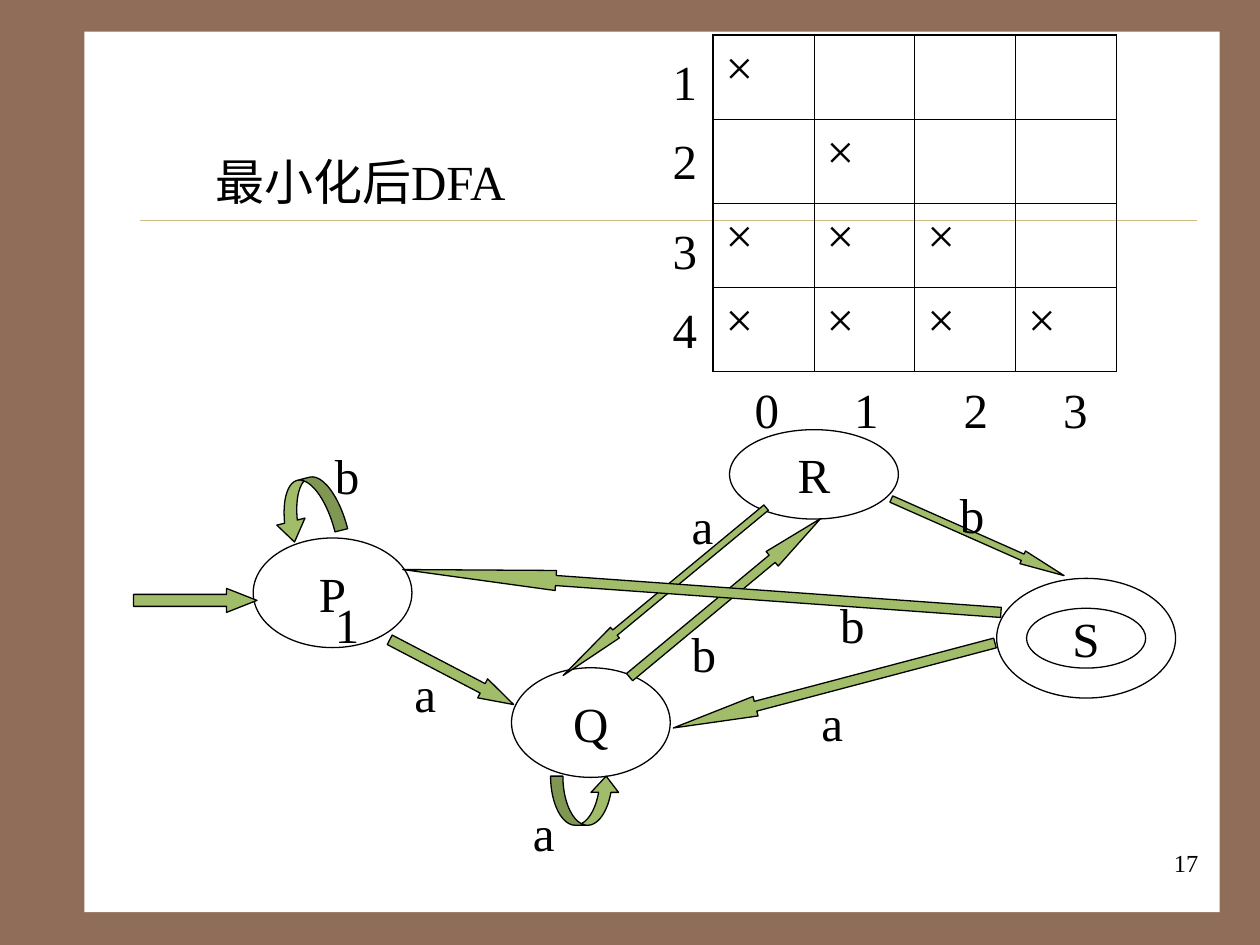
import pptx
import pptx.dml.color
import pptx.enum.shapes
import pptx.enum.text
import pptx.oxml
import pptx.util
from lxml import etree
from pptx.util import Inches

SHAPE = pptx.enum.shapes.MSO_SHAPE
ALIGN = pptx.enum.text.PP_ALIGN
ANCHOR = pptx.enum.text.MSO_ANCHOR
AUTO_SIZE = pptx.enum.text.MSO_AUTO_SIZE
FONT = "Times New Roman"
BLACK = "000000"
GREEN = "A1BD69"
A = "http://schemas.openxmlformats.org/drawingml/2006/main"


def colour(value):
    return pptx.dml.color.RGBColor.from_string(value)


def box(at):
    return [Inches(length) for length in at]


def write(frame, text, size=28, align=ALIGN.LEFT):
    paragraph = frame.paragraphs[0]
    paragraph.text = text
    paragraph.alignment = align
    paragraph.font.name = FONT
    paragraph.font.size = pptx.util.Pt(size)
    paragraph.font.color.rgb = colour(BLACK)


def add_label(slide, text, at, size=28, align=ALIGN.LEFT):
    frame = slide.shapes.add_textbox(*box(at)).text_frame
    frame.word_wrap = True
    write(frame, text, size, align)


def add_outlined(slide, kind, at, fill=None, adjustments=(), rotation=0):
    shape = slide.shapes.add_shape(kind, *box(at))
    shape.shadow.inherit = False
    if fill:
        shape.fill.solid()
        shape.fill.fore_color.rgb = colour(fill)
    else:
        shape.fill.background()
    shape.line.color.rgb = colour(BLACK)
    shape.line.width = pptx.util.Pt(0.75)
    for index, value in enumerate(adjustments):
        shape.adjustments[index] = value
    shape.rotation = rotation
    return shape


def add_state(slide, name, kind, at):
    frame = add_outlined(slide, kind, at).text_frame
    frame.word_wrap = False
    frame.vertical_anchor = ANCHOR.MIDDLE
    write(frame, name, align=ALIGN.CENTER)


def add_background(slide):
    slide.background.fill.solid()
    slide.background.fill.fore_color.rgb = colour("906D58")
    panel = slide.shapes.add_shape(SHAPE.RECTANGLE, *box((0.67, 0.25, 9.01, 6.99)))
    panel.shadow.inherit = False
    panel.fill.solid()
    panel.fill.fore_color.rgb = colour("FFFFFF")
    panel.line.fill.background()
    rule = slide.shapes.add_connector(
        pptx.enum.shapes.MSO_CONNECTOR.STRAIGHT, *box((1.11, 1.75, 9.5, 1.75)))
    rule.line.color.rgb = colour("CBBD83")
    rule.line.width = pptx.util.Pt(0.25)
    etree.SubElement(rule.element.spPr, f"{{{A}}}effectLst")
    return rule


def add_title(slide, text, at, below):
    title = slide.shapes.title
    title.left, title.top, title.width, title.height = box(at)
    title.text_frame.word_wrap = True
    title.text_frame.auto_size = AUTO_SIZE.NONE
    title.text_frame.vertical_anchor = ANCHOR.TOP
    write(title.text_frame, text)
    below.element.addnext(title.element)


def set_borders(cell, widths):
    properties = cell._tc.get_or_add_tcPr()
    for index, (side, width) in enumerate(zip("LRTB", widths)):
        properties.insert(index, pptx.oxml.parse_xml(
            f'<a:ln{side} xmlns:a="{A}" w="{pptx.util.Pt(width)}"><a:solidFill>'
            f'<a:srgbClr val="{BLACK}"/></a:solidFill></a:ln{side}>'))


def add_distinction_table(slide, marks, at):
    size = len(marks)
    table = slide.shapes.add_table(size, size, *box(at)).table
    table.first_row = table.horz_banding = False
    for row, marked_columns in enumerate(marks):
        for column in range(size):
            cell = table.cell(row, column)
            cell.fill.background()
            if column in marked_columns:
                write(cell.text_frame, "×")
            edges = (column == 0, column == size - 1, row == 0, row == size - 1)
            set_borders(cell, [1.08 if outer else 0.45 for outer in edges])


def main():
    presentation = pptx.Presentation()
    presentation.slide_width, presentation.slide_height = Inches(10), Inches(7.5)
    slide = presentation.slides.add_slide(presentation.slide_layouts[5])

    rule = add_background(slide)
    add_title(slide, "最小化后DFA", (1.61, 1.15, 2.99, 0.57), rule)

    states = [
        ("S", SHAPE.DONUT, (7.91, 4.59, 1.42, 0.95)),
        ("P", SHAPE.OVAL, (2.01, 4.27, 1.26, 0.87)),
        ("R", SHAPE.OVAL, (5.79, 3.41, 1.34, 0.71)),
        ("Q", SHAPE.OVAL, (4.06, 5.3, 1.26, 0.87)),
    ]
    for state in states:
        add_state(slide, *state)

    loops = [
        ((2.16, 3.8, 0.55, 0.47), (0.22, 0.49, 0.35), 165.9),
        ((4.37, 6.16, 0.55, 0.39), (0.25, 0.56, 0.33), 0),
    ]
    for at, adjustments, rotation in loops:
        add_outlined(slide, SHAPE.CURVED_UP_ARROW, at, GREEN, adjustments, rotation)

    transitions = [
        ((1.06, 4.67, 0.98, 0.19), 1.27, 0),
        ((7.01, 4.21, 1.5, 0.11), 3.27, 23.9),
        ((4.77, 4.67, 1.97, 0.15), 3.33, 320.3),
        ((4.23, 4.64, 2.09, 0.11), 4.85, 140.4),
        ((3.03, 5.25, 1.11, 0.17), 1.63, 27.6),
        ((3.19, 4.61, 4.76, 0.16), 7.62, 184.1),
        ((5.3, 5.36, 2.64, 0.16), 4.22, 165.2),
    ]
    for at, head, rotation in transitions:
        add_outlined(slide, SHAPE.RIGHT_ARROW, at, GREEN, (0.5, head), rotation)

    symbols = {
        "1": [(2.56, 4.67)],
        "a": [(4.13, 6.32), (3.19, 5.22), (5.39, 3.88), (6.42, 5.45)],
        "b": [(2.56, 3.49), (7.52, 3.8), (6.57, 4.67), (5.39, 4.9)],
    }
    for symbol, places in symbols.items():
        for left, top in places:
            add_label(slide, symbol, (left, top, 0.31, 0.57))

    add_distinction_table(
        slide, [{0}, {1}, {0, 1, 2}, {0, 1, 2, 3}], (5.66, 0.28, 3.2, 2.67))
    for number, top in enumerate((0.36, 0.99, 1.7, 2.33), start=1):
        add_label(slide, str(number), (5.24, top, 0.24, 0.57))
    for number, left in enumerate((5.89, 6.68, 7.55, 8.34)):
        add_label(slide, str(number), (left, 2.96, 0.24, 0.57))

    add_label(slide, "17", (7.53, 6.68, 2.08, 0.5), 14, ALIGN.RIGHT)
    presentation.save("out.pptx")


if __name__ == "__main__":
    main()
